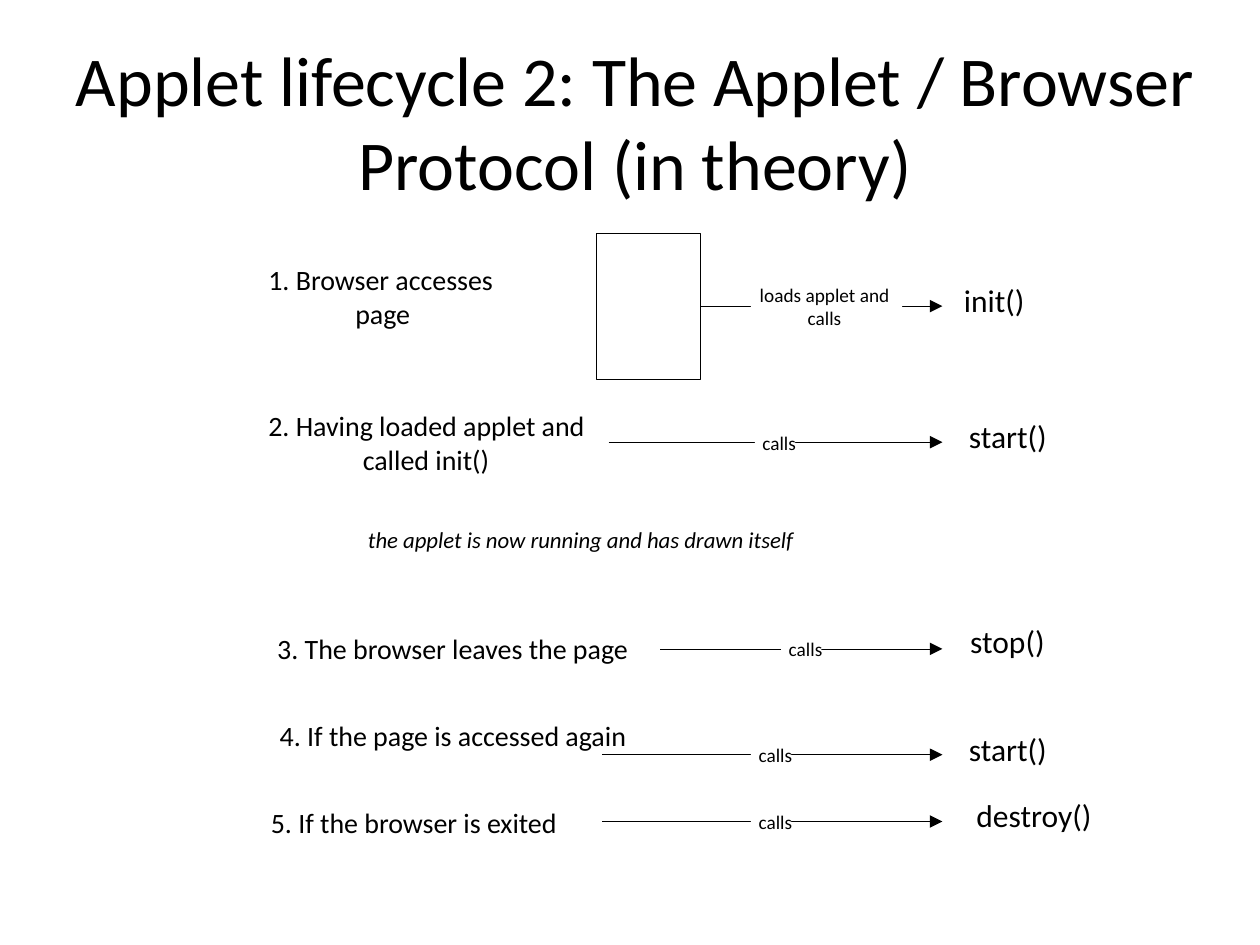
from typing import NamedTuple

from lxml.etree import SubElement
from pptx import Presentation
from pptx.dml.color import RGBColor
from pptx.enum.shapes import MSO_CONNECTOR, MSO_SHAPE
from pptx.enum.text import MSO_ANCHOR, MSO_AUTO_SIZE, PP_ALIGN
from pptx.oxml.ns import qn
from pptx.util import Inches, Pt

FONT = "Calibri"
BLACK = "000000"
WHITE = "FFFFFF"
LINE_WIDTH = Pt(0.37)
SHAFT_END = 7.39
HEAD_LEFT = 7.38
HEAD_SIZE = 0.1


class Label(NamedTuple):
    text: str
    left: float
    top: float
    width: float


class Call(NamedTuple):
    start: float
    y: float
    mask: tuple[float, float, float, float]
    labels: list[Label]
    method: Label


STEPS = [
    Label("1. Browser accesses", 2.13, 2.08, 1.81),
    Label("page", 2.82, 2.35, 0.46),
    Label("2. Having loaded applet and", 2.13, 3.24, 2.54),
    Label("called init()", 2.88, 3.51, 1.03),
    Label("3. The browser leaves the page", 2.2, 5.01, 2.82),
    Label("4. If the page is accessed again", 2.22, 5.7, 2.78),
    Label("5. If the browser is exited", 2.15, 6.39, 2.3),
]


def plain_call(start: float, y: float, label_left: float, method: Label) -> Call:
    """Describe an arrow whose label is the single word "calls"."""
    mask = (label_left - 0.06, y - 0.1, 0.32, 0.2)
    return Call(start, y, mask, [Label("calls", label_left, y - 0.09, 0.29)], method)


CALLS = [
    Call(5.56, 2.43, (5.96, 2.24, 1.2, 0.38),
         [Label("loads applet and", 6.03, 2.25, 1.07), Label("calls", 6.41, 2.43, 0.29)],
         Label("init()", 7.65, 2.23, 0.52)),
    plain_call(4.83, 3.51, 6.05, Label("start()", 7.69, 3.31, 0.64)),
    plain_call(5.24, 5.15, 6.26, Label("stop()", 7.7, 4.94, 0.62)),
    plain_call(4.78, 5.99, 6.02, Label("start()", 7.69, 5.79, 0.64)),
    plain_call(4.78, 6.52, 6.02, Label("destroy()", 7.75, 6.32, 0.94)),
]


def rgb(color: str) -> RGBColor:
    return RGBColor.from_string(color)


def write(tf, text: str, *, size: float, italic: bool = False, align=PP_ALIGN.LEFT) -> None:
    p = tf.paragraphs[0]
    p.alignment = align
    r = p.add_run()
    r.text = text
    r.font.name = FONT
    r.font.size = Pt(size)
    r.font.italic = italic
    r.font.color.rgb = rgb(BLACK)


def add_label(s, label: Label, size: float, italic: bool = False, wrap: bool = False) -> None:
    height = size * 1.22 / 72
    box = s.shapes.add_textbox(*map(Inches, (label.left, label.top, label.width, height)))
    tf = box.text_frame
    tf.margin_left = tf.margin_top = tf.margin_right = tf.margin_bottom = 0
    tf.word_wrap = wrap
    tf.auto_size = MSO_AUTO_SIZE.SHAPE_TO_FIT_TEXT
    write(tf, label.text, size=size, italic=italic)


def fill_shape(sp, color: str, outlined: bool = False) -> None:
    sp.shadow.inherit = False
    sp.fill.solid()
    sp.fill.fore_color.rgb = rgb(color)
    if outlined:
        sp.line.color.rgb = rgb(BLACK)
        sp.line.width = LINE_WIDTH
    else:
        sp.line.fill.background()


def add_rect(s, bounds: tuple[float, float, float, float], outlined: bool = False):
    sp = s.shapes.add_shape(MSO_SHAPE.RECTANGLE, *map(Inches, bounds))
    fill_shape(sp, WHITE, outlined)
    return sp


def add_arrow(s, start: float, y: float, source=None) -> None:
    """Draw a shaft and a solid head, joined to the right side of source if given."""
    shaft = s.shapes.add_connector(
        MSO_CONNECTOR.STRAIGHT, Inches(start), Inches(y), Inches(SHAFT_END), Inches(y))
    shaft.line.color.rgb = rgb(BLACK)
    shaft.line.width = LINE_WIDTH
    SubElement(shaft._element.spPr, qn("a:effectLst"))
    if source is not None:
        shaft.begin_connect(source, 3)

    half = HEAD_SIZE / 2
    builder = s.shapes.build_freeform(Inches(HEAD_LEFT), Inches(y - half))
    builder.add_line_segments([
        (Inches(HEAD_LEFT + HEAD_SIZE), Inches(y)),
        (Inches(HEAD_LEFT), Inches(y + half)),
    ], close=True)
    fill_shape(builder.convert_to_shape(), BLACK)


def add_call(s, call: Call, source=None) -> None:
    add_arrow(s, call.start, call.y, source)
    add_rect(s, call.mask)
    for label in call.labels:
        add_label(s, label, 11)
    add_label(s, call.method, 18)


def add_title(s, text: str) -> None:
    title = s.shapes.title
    title.left, title.top, title.width, title.height = map(Inches, (0.5, 0.33, 9.08, 1.25))
    tf = title.text_frame
    tf.word_wrap = True
    tf.auto_size = MSO_AUTO_SIZE.NONE
    tf.vertical_anchor = MSO_ANCHOR.MIDDLE
    tf.margin_left = tf.margin_right = Inches(0.05)
    write(tf, text, size=40, align=PP_ALIGN.CENTER)


def main() -> None:
    prs = Presentation()
    prs.slide_width, prs.slide_height = Inches(10), Inches(7.5)
    s = prs.slides.add_slide(prs.slide_layouts[5])
    add_title(s, "Applet lifecycle 2: The Applet / Browser Protocol (in theory)")

    for step in STEPS:
        add_label(s, step, 16)
    add_label(s, Label("the applet is now running and has drawn itself", 2.92, 4.17, 3.92),
              13, italic=True, wrap=True)

    page = add_rect(s, (4.73, 1.85, 0.83, 1.16), outlined=True)
    first, *others = CALLS
    add_call(s, first, source=page)
    for call in others:
        add_call(s, call)

    prs.save("out.pptx")


if __name__ == "__main__":
    main()
